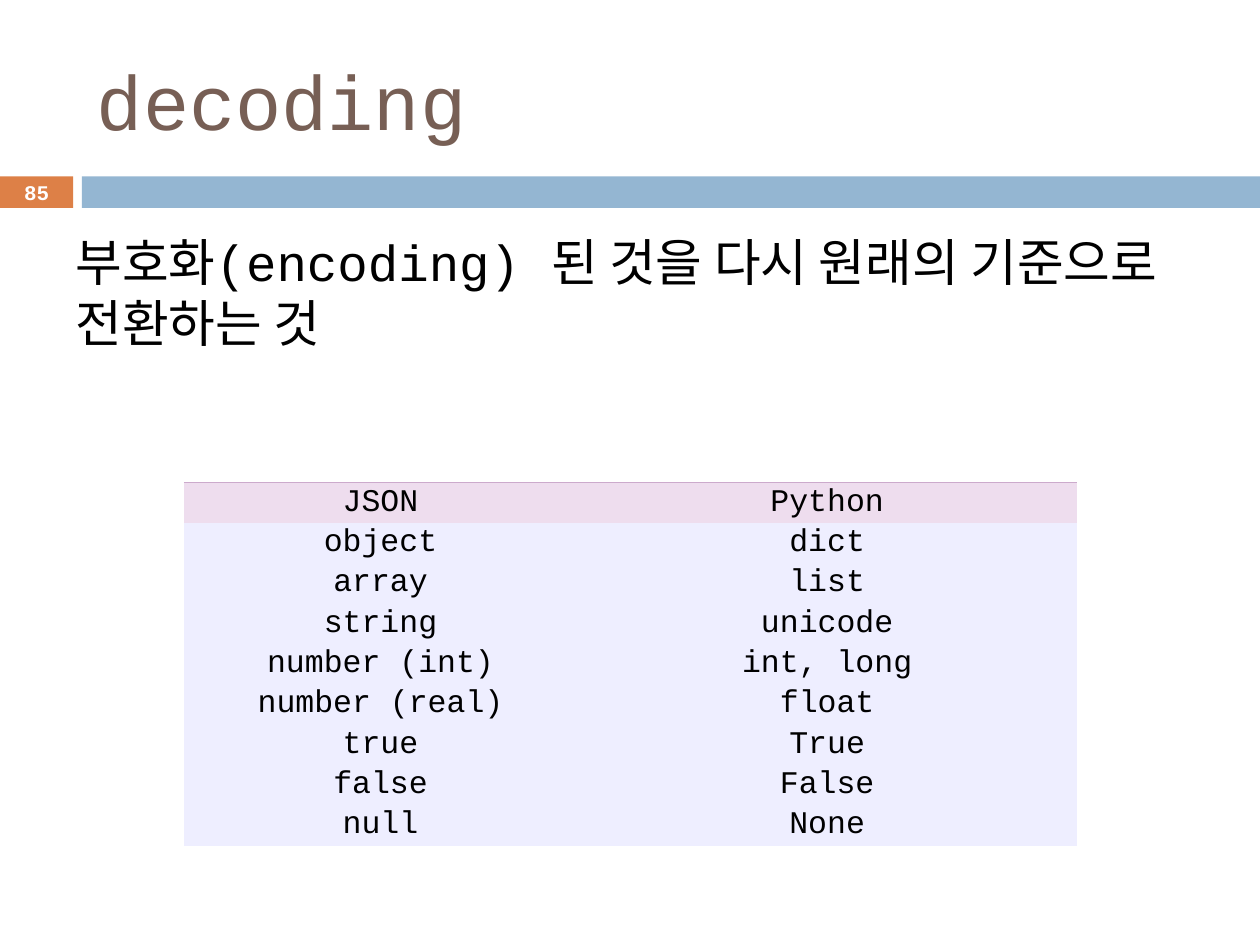
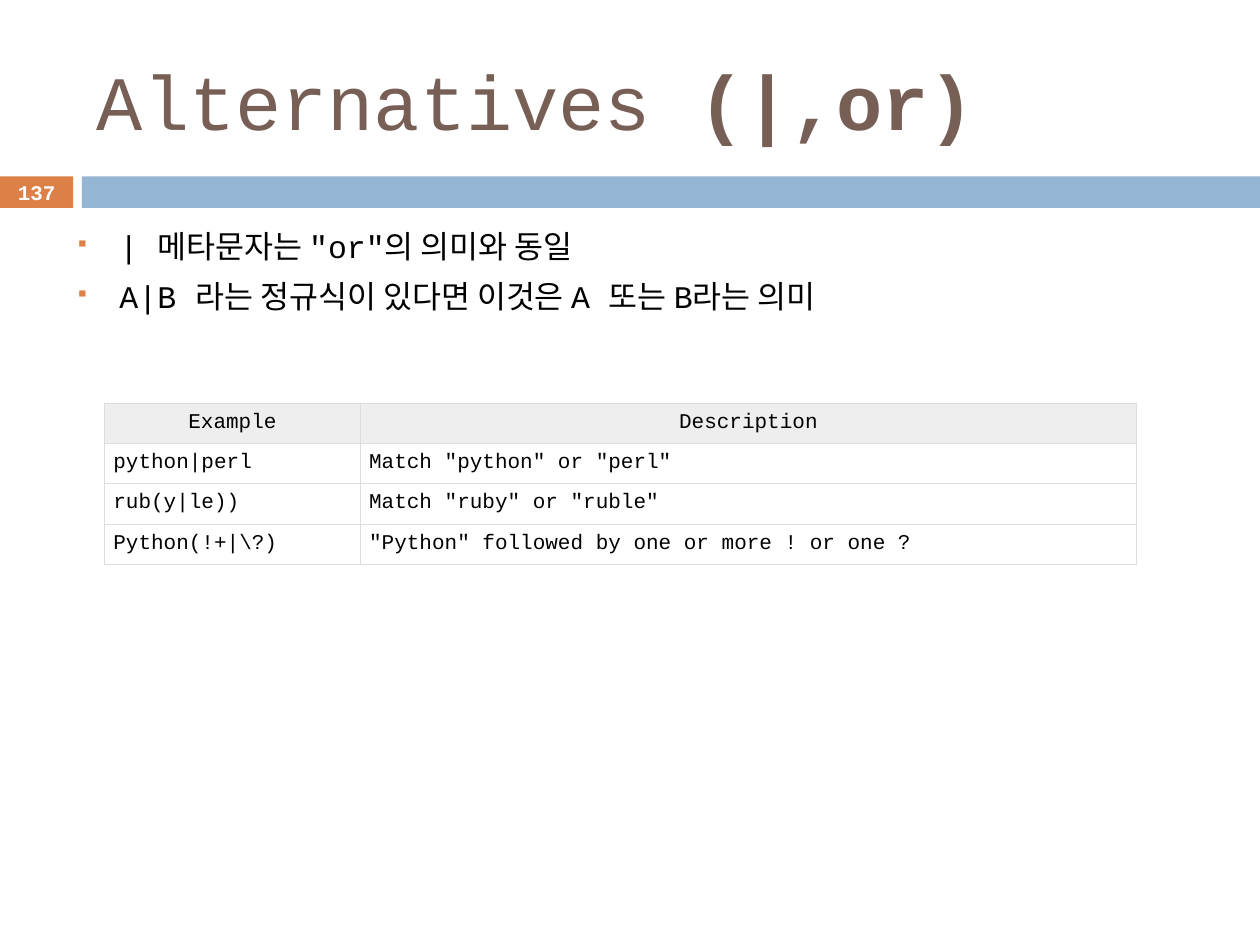
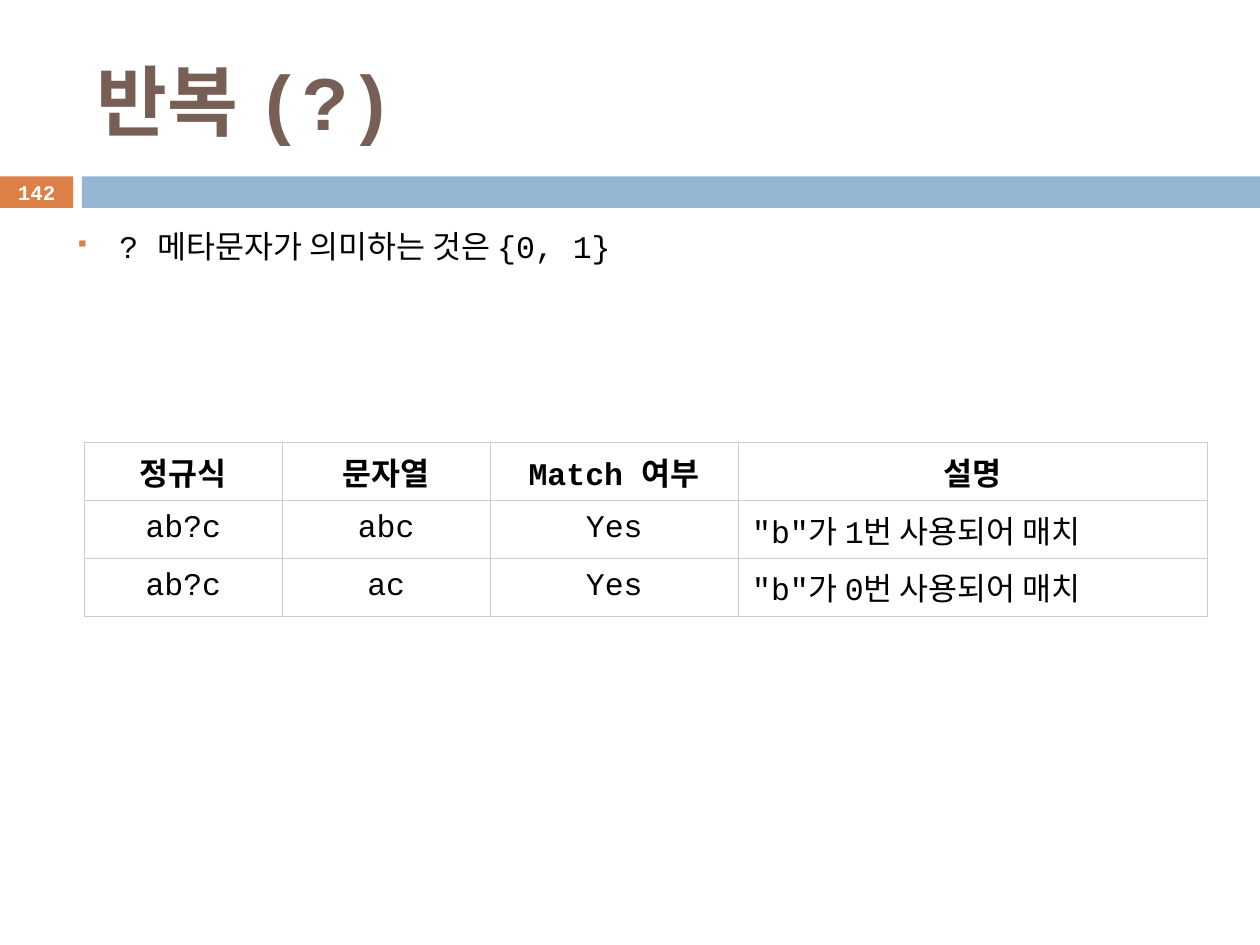
from lxml import etree
from pptx import Presentation
from pptx.dml.color import RGBColor
from pptx.enum.shapes import MSO_SHAPE
from pptx.enum.text import MSO_ANCHOR, PP_ALIGN
from pptx.oxml.ns import qn
from pptx.util import Inches, Pt

RECT = MSO_SHAPE.RECTANGLE
TOP, MIDDLE = MSO_ANCHOR.TOP, MSO_ANCHOR.MIDDLE
LEFT, CENTER = PP_ALIGN.LEFT, PP_ALIGN.CENTER

FONT = "Courier New"
NO_GRID_STYLE = "{2D5ABB26-0587-4C30-8999-92F81FD0307C}"
COLORS = {
    "title": "775F55", "accent": "DD8047", "band": "94B6D2",
    "text": "000000", "white": "FFFFFF",
    "json_head": "EEDDEE", "json_body": "EEEEFF", "json_line": "CCAACC",
    "regex_head": "EEEEEE", "regex_line": "DDDDDD", "match_line": "CCCCCC",
}


def rgb(name):
    return RGBColor.from_string(COLORS[name])


def style_run(run, size, color="text", bold=False):
    run.font.name = FONT
    run.font.size = Pt(size)
    run.font.bold = bold
    run.font.color.rgb = rgb(color)


def add_text_box(slide, box, anchor=TOP):
    frame = slide.shapes.add_textbox(*map(Inches, box)).text_frame
    frame.word_wrap = True
    frame.vertical_anchor = anchor
    return frame


# Shared frame: title, coloured bands and page number
def add_band(slide, box, color):
    band = slide.shapes.add_shape(RECT, *map(Inches, box))
    band.shadow.inherit = False
    band.fill.solid()
    band.fill.fore_color.rgb = rgb(color)
    band.line.fill.background()


def add_frame(prs, title_parts, page):
    slide = prs.slides.add_slide(prs.slide_layouts[6])
    add_band(slide, (0, 1.4, 0.58, 0.25), "accent")
    add_band(slide, (0.65, 1.4, 9.35, 0.25), "band")

    title = add_text_box(slide, (0.67, 0.25, 8.92, 1.08), MIDDLE).paragraphs[0]
    for words, bold in title_parts:
        run = title.add_run()
        run.text = words
        style_run(run, 44, "title", bold)

    number = add_text_box(slide, (0, 1.39, 0.58, 0.27), MIDDLE)
    number.margin_left = number.margin_right = 0
    number.text = str(page)
    number.paragraphs[0].alignment = CENTER
    style_run(number.paragraphs[0].runs[0], 11.9, "white", True)
    return slide


# Body text
def add_bullet(paragraph):
    props = paragraph._p.get_or_add_pPr()
    props.set("marL", str(Inches(0.35)))
    props.set("indent", str(-Inches(0.35)))
    color = etree.SubElement(props, qn("a:buClr"))
    etree.SubElement(color, qn("a:srgbClr"), val=COLORS["accent"])
    etree.SubElement(props, qn("a:buSzPct"), val="60000")
    etree.SubElement(props, qn("a:buChar"), char="▪")


def add_body(slide, box, lines, size=18, bulleted=True):
    frame = add_text_box(slide, box)
    frame.margin_right = Inches(0.2)
    for index, line in enumerate(lines):
        paragraph = frame.add_paragraph() if index else frame.paragraphs[0]
        paragraph.text = line
        if bulleted:
            add_bullet(paragraph)
        if index:
            paragraph.space_before = Pt(7)
        style_run(paragraph.runs[0], size)


# Tables
def set_borders(cell, sides, color):
    props = cell._tc.get_or_add_tcPr()
    for side in sides:
        line = etree.SubElement(props, qn(f"a:ln{side}"), w=str(Pt(0.6)))
        fill = etree.SubElement(line, qn("a:solidFill"))
        etree.SubElement(fill, qn("a:srgbClr"), val=COLORS[color])


def add_grid(slide, origin, widths, row_height, rows, *, size, margins, fills,
             line, head_sides="LRTB", body_sides="LRTB", anchor=MIDDLE,
             body_align=None, bold_head=False):
    """Head row plus body rows; fills holds the head and body colours."""
    box = (*origin, sum(widths), row_height * len(rows))
    table = slide.shapes.add_table(len(rows), len(widths),
                                   *map(Inches, box)).table
    table.horz_banding = table.first_row = False
    table._tbl.tblPr.find(qn("a:tableStyleId")).text = NO_GRID_STYLE
    for column, width in zip(table.columns, widths):
        column.width = Inches(width)
    for r, values in enumerate(rows):
        table.rows[r].height = Inches(row_height)
        for c, value in enumerate(values):
            cell = table.cell(r, c)
            is_head = r == 0
            set_borders(cell, head_sides if is_head else body_sides, line)
            cell.fill.solid()
            cell.fill.fore_color.rgb = rgb(fills[0 if is_head else 1])
            cell.margin_left = cell.margin_right = Inches(margins[0])
            cell.margin_top = cell.margin_bottom = Inches(margins[1])
            cell.vertical_anchor = anchor
            cell.text = value
            paragraph = cell.text_frame.paragraphs[0]
            paragraph.alignment = (CENTER if is_head or not body_align
                                   else body_align[c])
            style_run(paragraph.runs[0], size, bold=bold_head and is_head)


# Slides
def decoding_slide(prs):
    slide = add_frame(prs, [("decoding", False)], 85)
    add_body(slide, (0.5, 1.78, 9, 1.57),
             ["부호화(encoding) 된 것을 다시 원래의 기준으로 전환하는 것"],
             size=29, bulleted=False)
    types = [("JSON", "Python"), ("object", "dict"), ("array", "list"),
             ("string", "unicode"), ("number (int)", "int, long"),
             ("number (real)", "float"), ("true", "True"),
             ("false", "False"), ("null", "None")]
    add_grid(slide, (1.46, 3.83), (3.12, 3.97), 0.32, types, size=18,
             margins=(0.04, 0.01), fills=("json_head", "json_body"),
             line="json_line", head_sides="T", body_sides="")


def alternatives_slide(prs):
    slide = add_frame(prs, [("Alternatives", False), (" (|,or)", True)], 137)
    add_body(slide, (0.5, 1.75, 9, 1.21),
             ['| 메타문자는 "or"의 의미와 동일',
              "A|B 라는 정규식이 있다면 이것은 A 또는 B라는 의미"])
    examples = [("Example", "Description"),
                ("python|perl", 'Match "python" or "perl"'),
                ("rub(y|le))", 'Match "ruby" or "ruble"'),
                (r"Python(!+|\?)",
                 '"Python" followed by one or more ! or one ?')]
    add_grid(slide, (0.83, 3.2), (2.03, 6.16), 0.32, examples, size=12,
             margins=(0.07, 0.06), fills=("regex_head", "white"),
             line="regex_line", anchor=TOP, body_align=(LEFT, LEFT))


def repetition_slide(prs):
    slide = add_frame(prs, [("반복 (?)", True)], 142)
    add_body(slide, (0.5, 1.75, 9, 1.45), ["? 메타문자가 의미하는 것은 {0, 1}"])
    matches = [("정규식", "문자열", "Match 여부", "설명"),
               ("ab?c", "abc", "Yes", '"b"가 1번 사용되어 매치'),
               ("ab?c", "ac", "Yes", '"b"가 0번 사용되어 매치')]
    add_grid(slide, (0.67, 3.51), (1.57, 1.65, 1.97, 3.72), 0.46, matches,
             size=18, margins=(0.11, 0.05), fills=("white", "white"),
             line="match_line", body_align=(CENTER, CENTER, CENTER, LEFT),
             bold_head=True)


def main():
    prs = Presentation()
    prs.slide_width, prs.slide_height = Inches(10), Inches(7.5)
    decoding_slide(prs)
    alternatives_slide(prs)
    repetition_slide(prs)
    prs.save("out.pptx")


if __name__ == "__main__":
    main()
